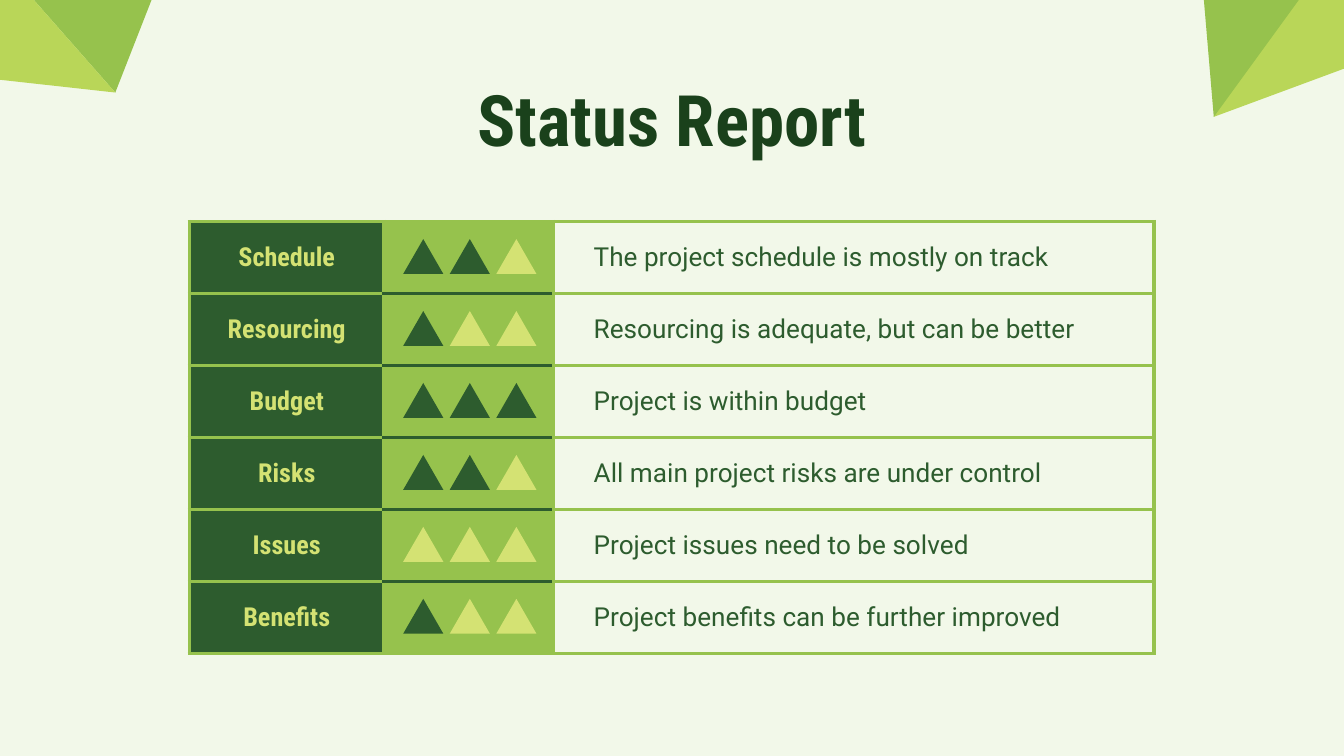
from lxml import etree
from pptx import Presentation
from pptx.dml.color import RGBColor
from pptx.enum import shapes, text
from pptx.oxml import ns
from pptx.util import Cm, Pt

HUES = {"page": "F2F8E9", "lime": "B9D658", "leaf": "96C24D",
        "pale": "D4E273", "pine": "2D5C2E", "title": "1A411B"}


def paint(fill, hue):
    fill.solid()
    fill.fore_color.rgb = RGBColor.from_string(HUES[hue])


def write(frame, words, face, size, hue, bold, align):
    para = frame.paragraphs[0]
    para.alignment = align
    run = para.add_run()
    run.text = words
    run.font.name = face
    run.font.size = Pt(size)
    run.font.bold = bold
    run.font.color.rgb = RGBColor.from_string(HUES[hue])


deck = Presentation()
deck.slide_width, deck.slide_height = Cm(25.4), Cm(14.29)
slide = deck.slides.add_slide(deck.slide_layouts[5])
paint(slide.background.fill, "page")

# Corner facets, points in cm
facets = [
    ("lime", [(24.71, -1.02), (26.37, 0.94), (22.94, 2.21)]),
    ("leaf", [(22.63, -1.45), (25.1, -0.76), (22.94, 2.21)]),
    ("leaf", [(2.18, 1.75), (3.53, -1.7), (0.13, -0.58)]),
    ("lime", [(2.18, 1.75), (-0.53, 1.45), (0.13, -0.58)]),
]
for hue, points in facets:
    first, *rest = [(Cm(x), Cm(y)) for x, y in points]
    pen = slide.shapes.build_freeform(*first)
    pen.add_line_segments(rest, close=True)
    facet = pen.convert_to_shape()
    facet.shadow.inherit = False
    facet.line.fill.background()
    paint(facet.fill, hue)

# Title
title = slide.shapes.title
title.left, title.top, title.width, title.height = Cm(1.98), Cm(1.22), Cm(21.44), Cm(2.03)
frame = title.text_frame
frame.auto_size = text.MSO_AUTO_SIZE.NONE
frame.vertical_anchor = text.MSO_ANCHOR.MIDDLE
frame.margin_left = frame.margin_right = frame.margin_top = frame.margin_bottom = Cm(0.25)
write(frame, "Status Report", "Roboto Condensed", 38, "title", True, text.PP_ALIGN.CENTER)

# Status table: topic, score out of three, comment
rows = [
    ("Schedule", 2, "The project schedule is mostly on track"),
    ("Resourcing", 1, "Resourcing is adequate, but can be better"),
    ("Budget", 3, "Project is within budget"),
    ("Risks", 2, "All main project risks are under control"),
    ("Issues", 0, "Project issues need to be solved"),
    ("Benefits", 1, "Project benefits can be further improved"),
]
widths = [3.68, 3.2, 11.35]
pitch = 1.36
last = len(rows) - 1
grid = slide.shapes.add_table(len(rows), len(widths), Cm(3.58), Cm(4.19),
                              Cm(sum(widths)), Cm(pitch * len(rows))).table
grid.first_row = grid.horz_banding = False
for col, width in zip(grid.columns, widths):
    col.width = Cm(width)

for i, (topic, score, note) in enumerate(rows):
    grid.rows[i].height = Cm(pitch)
    for j in range(len(widths)):
        cell = grid.cell(i, j)
        cell.vertical_anchor = text.MSO_ANCHOR.MIDDLE
        cell.margin_left = Cm(0.76 if j == 2 else 0.25)
        cell.margin_right = cell.margin_top = cell.margin_bottom = Cm(0.25)

        # Borders: dark rules between the scores, green elsewhere
        dark = {"T": j == 1 and i > 0, "B": j == 1 and i < last}
        props = cell._tc.get_or_add_tcPr()
        for side in "LRTB":
            edge = etree.SubElement(props, ns.qn("a:ln" + side), w=str(Pt(2.25)))
            solid = etree.SubElement(edge, ns.qn("a:solidFill"))
            hue = HUES["pine" if dark.get(side) else "leaf"]
            etree.SubElement(solid, ns.qn("a:srgbClr"), val=hue)

    head, mark, body = grid.rows[i].cells
    paint(head.fill, "pine")
    paint(mark.fill, "leaf")
    body.fill.background()
    mark.text_frame.paragraphs[0].font.size = Pt(14)
    write(head.text_frame, topic, "Roboto Condensed", 14, "pale", True, text.PP_ALIGN.CENTER)
    write(body.text_frame, note, "Roboto", 14, "pine", False, text.PP_ALIGN.LEFT)

# Score triangles, one group per row
for i, (topic, score, note) in enumerate(rows):
    group = slide.shapes.add_group_shape()
    for j in range(3):
        tree = group.shapes.add_shape(shapes.MSO_SHAPE.ISOSCELES_TRIANGLE,
                                      Cm(7.62 + 0.88 * j), Cm(4.52 + pitch * i),
                                      Cm(0.76), Cm(0.66))
        tree.shadow.inherit = False
        tree.line.fill.background()
        paint(tree.fill, "pine" if j < score else "pale")

deck.save("out.pptx")
